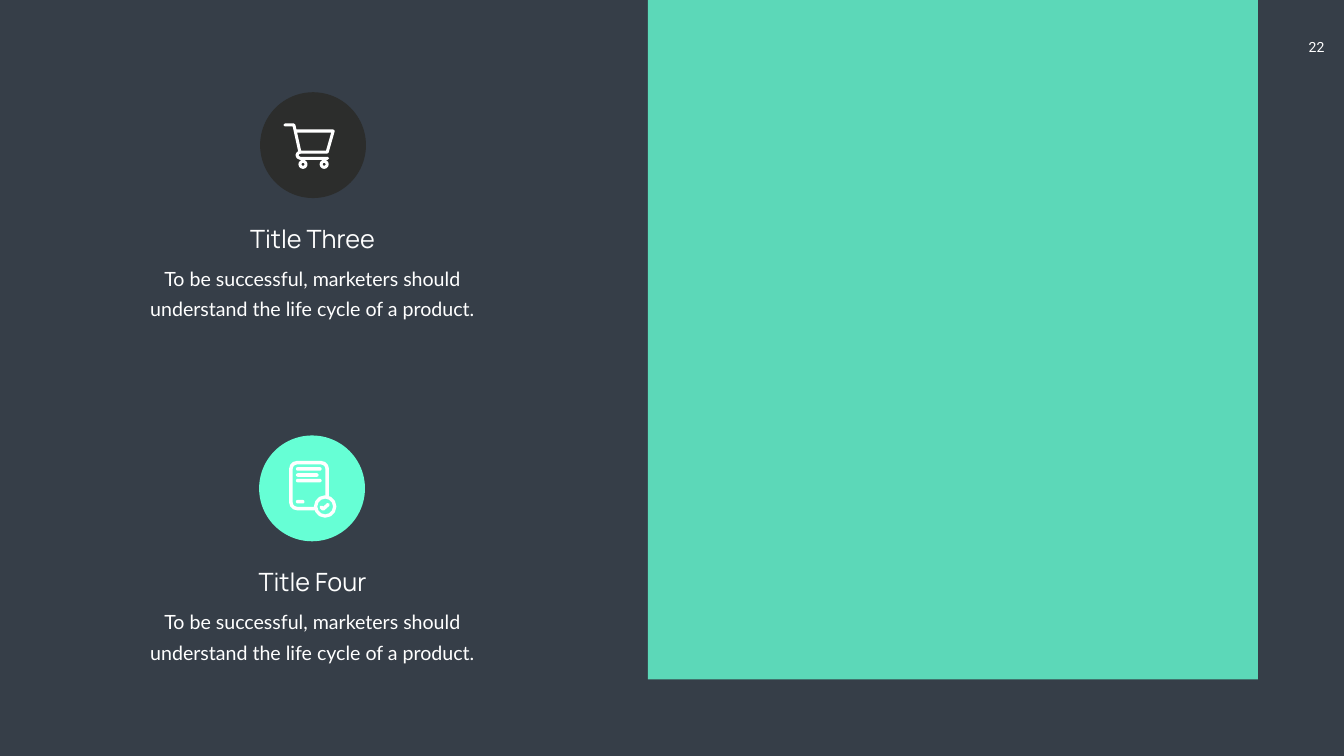
from lxml import etree
from pptx import Presentation
from pptx.dml.color import RGBColor
from pptx.enum.shapes import MSO_SHAPE
from pptx.enum.text import MSO_AUTO_SIZE, PP_ALIGN
from pptx.oxml.ns import qn
from pptx.util import Inches, Pt

RECT = MSO_SHAPE.RECTANGLE
ROUND = MSO_SHAPE.ROUNDED_RECTANGLE
OVAL = MSO_SHAPE.OVAL
CENTER = PP_ALIGN.CENTER
GROW = MSO_AUTO_SIZE.SHAPE_TO_FIT_TEXT

SLATE = RGBColor(0x36, 0x3E, 0x48)
MINT = RGBColor(0x66, 0xFF, 0xD5)
COAL = RGBColor(0x2C, 0x2D, 0x2C)
WHITE = RGBColor(0xFF, 0xFF, 0xFF)

BODY = "To be successful, marketers should understand the life cycle of a product."


def style(shape, fill=None, stroke=None):
    shape.shadow.inherit = False
    if fill is None:
        shape.fill.background()
    else:
        shape.fill.solid()
        shape.fill.fore_color.rgb = fill
    if stroke is None:
        shape.line.fill.background()
    else:
        shape.line.color.rgb = WHITE
        shape.line.width = Pt(stroke)


def add_box(shapes, kind, left, top, width, height, fill=None, stroke=None):
    shape = shapes.add_shape(
        kind, Inches(left), Inches(top), Inches(width), Inches(height))
    style(shape, fill, stroke)
    return shape


def add_disc(shapes, x, y, radius, fill=None, stroke=None):
    size = 2 * radius
    return add_box(shapes, OVAL, x - radius, y - radius, size, size, fill, stroke)


def add_path(shapes, points, stroke):
    spots = [(Inches(x), Inches(y)) for x, y in points]
    pen = shapes.build_freeform(*spots[0])
    pen.add_line_segments(spots[1:], close=False)
    shape = pen.convert_to_shape()
    style(shape, stroke=stroke)
    line = shape.line._get_or_add_ln()
    line.set("cap", "rnd")
    etree.SubElement(line, qn("a:round"))


def add_text(shapes, text, left, top, width, height, font, size, pitch=None):
    box = shapes.add_textbox(
        Inches(left), Inches(top), Inches(width), Inches(height))
    frame = box.text_frame
    frame.word_wrap = True
    frame.auto_size = GROW
    para = frame.paragraphs[0]
    para.text = text
    para.alignment = CENTER
    para.font.name = font
    para.font.size = Pt(size)
    para.font.color.rgb = WHITE
    if pitch:
        para.line_spacing = Pt(pitch)


def draw_cart(shapes):
    add_path(shapes, [(5.65, 2.48), (5.83, 2.48), (5.95, 3.02),
                      (6.49, 3.02), (6.61, 2.6), (5.87, 2.6)], 4.3)
    add_path(shapes, [(5.95, 3.02), (5.91, 3.04), (5.89, 3.08),
                      (5.91, 3.12), (5.95, 3.14), (6.5, 3.14)], 4.3)
    for x in (6.01, 6.43):
        add_disc(shapes, x, 3.26, 0.06, stroke=4.3)


def draw_form(shapes):
    page = add_box(shapes, ROUND, 5.77, 9.18, 0.72, 0.91, stroke=5)
    page.adjustments[0] = 0.17
    for top, width in ((9.27, 0.51), (9.39, 0.45), (9.5, 0.51), (9.92, 0.17)):
        bar = add_box(shapes, ROUND, 5.87, top, width, 0.07, WHITE)
        bar.adjustments[0] = 0.5
    add_disc(shapes, 6.45, 10.05, 0.19, MINT, 4.7)
    add_path(shapes, [(6.37, 10.06), (6.41, 10.1), (6.51, 10.01)], 5)


def add_block(slide, title, top, center, fill, draw):
    shapes = slide.shapes.add_group_shape().shapes
    add_disc(shapes, center, top + 1.05, 1.05, fill)
    draw(shapes)
    add_text(shapes, title, 3.76, top + 2.55, 4.88, 0.71, "Manrope", 36)
    add_text(shapes, BODY, 2.46, top + 3.29, 7.47, 1.24, "Lato", 28, 43)


def add_panel(slide):
    panel = add_box(slide.shapes, RECT, 12.85, 0, 12.1, 13.48, MINT)
    color = panel.fill._xPr.find(".//" + qn("a:srgbClr"))
    etree.SubElement(color, qn("a:alpha"), val="80000")


def main():
    deck = Presentation()
    deck.slide_width = Inches(26.66)
    deck.slide_height = Inches(15)
    slide = deck.slides.add_slide(deck.slide_layouts[6])
    back = slide.background.fill
    back.solid()
    back.fore_color.rgb = SLATE

    add_text(slide.shapes, "22", 25.61, 0.72, 1.01, 0.44, "Roboto", 20)
    add_block(slide, "Title Four", 8.64, 6.19, MINT, draw_form)
    add_block(slide, "Title Three", 1.83, 6.21, COAL, draw_cart)
    add_panel(slide)
    deck.save("out.pptx")


if __name__ == "__main__":
    main()
